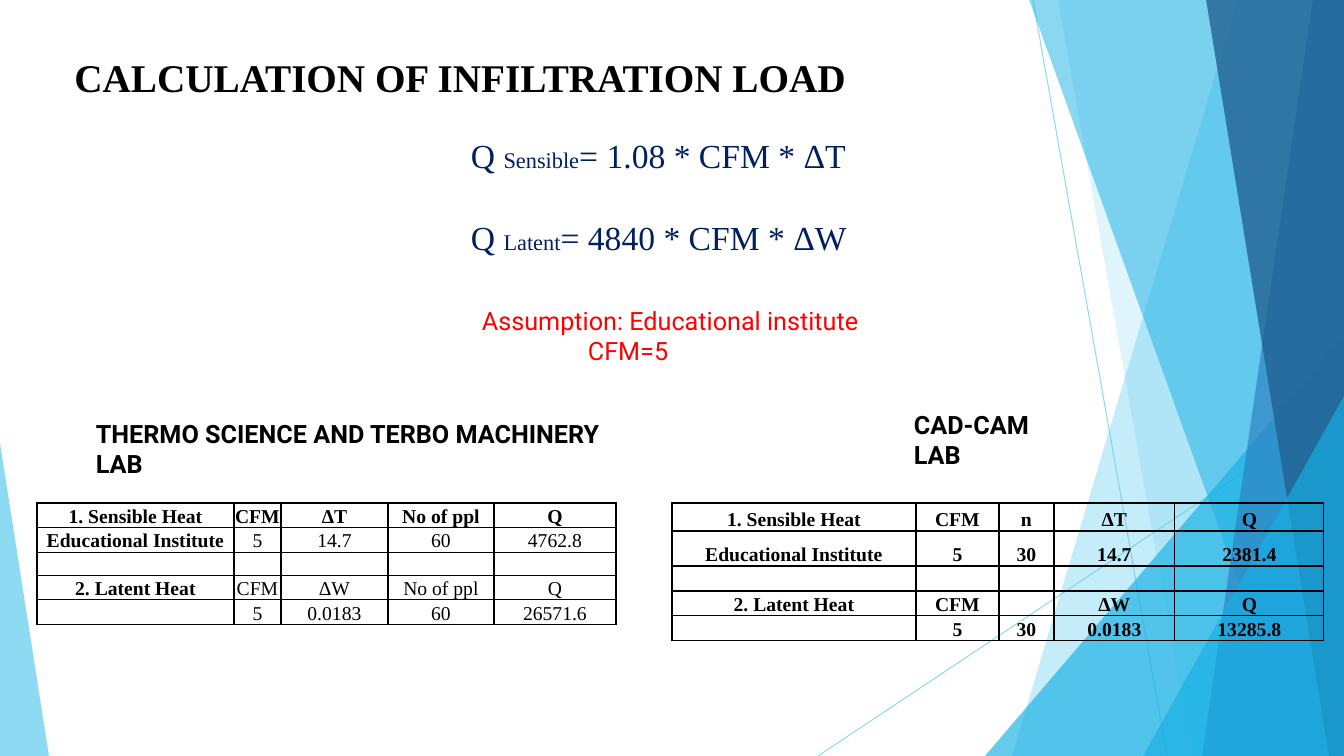
from lxml.etree import SubElement
from pptx import Presentation
from pptx.dml.color import RGBColor
from pptx.enum.shapes import MSO_CONNECTOR, MSO_SHAPE
from pptx.enum.text import MSO_ANCHOR, PP_ALIGN
from pptx.oxml.ns import qn
from pptx.util import Pt

PX = 914400 / 100.8
THEME = {
    "sky": "5FCBEF", "cyan": "17B0E4", "blue": "2E83C3", "navy": "226292", "border": "000000",
    "title": {"name": "Times New Roman", "size": 28, "bold": True, "color": "000000"},
    "formula": {"name": "Times New Roman", "size": 24, "bold": False, "color": "002060"},
    "subscript": {"name": "Times New Roman", "size": 16, "bold": False, "color": "002060"},
    "assumption": {"name": "Roboto", "size": 18, "bold": False, "color": "FF0000"},
    "lab": {"name": "Roboto", "size": 18, "bold": True, "color": "000000"},
    "label": {"name": "Times New Roman", "size": 14, "bold": True, "color": "000000"},
    "value": {"name": "Times New Roman", "size": 14, "bold": False, "color": "000000"},
    "empty_size": 12,
}


def paint(fill, color, percent):
    """Fill with a colour at the given opacity in percent."""
    fill.solid()
    fill.fore_color.rgb = RGBColor.from_string(THEME[color])
    for node in fill._xPr.iter(qn("a:srgbClr")):
        SubElement(node, qn("a:alpha"), val=str(percent * 1000))


def write(para, spans):
    """Add (text, style name) spans to a paragraph."""
    for text, style in spans:
        span = para.add_run()
        span.text = text
        look = THEME[style]
        for key, value in {"name": look["name"], "size": Pt(look["size"]), "bold": look["bold"]}.items():
            setattr(span.font, key, value)
        span.font.color.rgb = RGBColor.from_string(look["color"])


deck = Presentation()
deck.slide_width, deck.slide_height = round(1344 * PX), round(756 * PX)
page = deck.slides.add_slide(deck.slide_layouts[6])

# Background: thin lines, then translucent facets from back to front
for ends in [(1033, 0, 1167, 756), (1344, 406, 818, 756)]:
    ray = page.shapes.add_connector(MSO_CONNECTOR.STRAIGHT, *(round(v * PX) for v in ends))
    ray.line.width = Pt(0.75)
    paint(ray.line.fill, "sky", 70)
    SubElement(ray._element.spPr, qn("a:effectLst"))

# Bands: top-left x and bottom-left x; triangles: left, top, width, height and apex
FACETS = [
    ("band", (1238, 1012), "sky", 36),
    ("band", (1058, 1192), "sky", 20),
    ("triangle", (985, 336, 359, 420, 1), "cyan", 66),
    ("band", (1029, 1301), "cyan", 50),
    ("band", (1313, 1202), "blue", 70),
    ("band", (1206, 1329), "navy", 80),
    ("triangle", (1143, 396, 201, 360, 1), "cyan", 66),
    ("triangle", (0, 443, 49, 313, 0), "sky", 70),
]
for kind, place, color, percent in FACETS:
    if kind == "band":
        top_x, bottom_x = place
        outline = page.shapes.build_freeform(top_x, -1, scale=PX)
        outline.add_line_segments([(1344, -1), (1344, 756), (bottom_x, 756)], close=True)
        facet = outline.convert_to_shape()
    else:
        *frame, apex = place
        facet = page.shapes.add_shape(MSO_SHAPE.ISOSCELES_TRIANGLE, *(round(v * PX) for v in frame))
        facet.adjustments[0] = apex
    facet.shadow.inherit = False
    facet.line.fill.background()
    paint(facet.fill, color, percent)

# Text boxes: frame, then paragraphs of spans with their paragraph formats
TEXTS = [
    ((-109, 21, 1138, 118), [
        ([("CALCULATION OF INFILTRATION LOAD", "title")],
         {"alignment": PP_ALIGN.CENTER, "line_spacing": 0.9})]),
    ((461, 130, 397, 173), [
        ([("Q ", "formula"), ("Sensible", "subscript"), ("= 1.08 * CFM * ΔT", "formula")], {}),
        ([("Q ", "formula"), ("Latent", "subscript"), ("= 4840 * CFM * ΔW", "formula")],
         {"space_before": Pt(30)})]),
    ((472, 300, 421, 74), [
        ([("Assumption: Educational institute", "assumption")], {}),
        ([("CFM=5", "assumption")], {"indent": 106})]),
    ((86, 413, 529, 42), [([("THERMO SCIENCE AND TERBO MACHINERY LAB", "lab")], {})]),
    ((904, 404, 177, 40), [([("CAD-CAM LAB", "lab")], {})]),
]
for frame, paragraphs in TEXTS:
    box = page.shapes.add_textbox(*(round(v * PX) for v in frame))
    box.text_frame.word_wrap = True
    if paragraphs[0][0][0][1] == "title":
        box.text_frame.vertical_anchor = MSO_ANCHOR.MIDDLE
    for index, (spans, formats) in enumerate(paragraphs):
        para = box.text_frame.add_paragraph() if index else box.text_frame.paragraphs[0]
        for key, value in formats.items():
            if key == "indent":
                para._p.get_or_add_pPr().set("marL", str(round(value * PX)))
            else:
                setattr(para, key, value)
        write(para, spans)

# Tables: left edge, column widths, row heights, all bold or only headings, rows
TABLES = [
    (37, [197, 47, 107, 106, 122], [23, 22, 23, 23, 22], False, [
        ["1. Sensible Heat", "CFM", "ΔT", "No of ppl", "Q"],
        ["Educational Institute", "5", "14.7", "60", "4762.8"],
        [""] * 5,
        ["2. Latent Heat", "CFM", "ΔW", "No of ppl", "Q"],
        ["", "5", "0.0183", "60", "26571.6"]]),
    (672, [244, 83, 55, 121, 149], [28, 35, 25, 24, 25], True, [
        ["1. Sensible Heat", "CFM", "n", "ΔT", "Q"],
        ["Educational Institute", "5", "30", "14.7", "2381.4"],
        [""] * 5,
        ["2. Latent Heat", "CFM", "", "ΔW", "Q"],
        ["", "5", "30", "0.0183", "13285.8"]]),
]
CELL = {"margin_left": round(PX), "margin_right": round(PX), "margin_top": round(PX),
        "margin_bottom": 0, "vertical_anchor": MSO_ANCHOR.BOTTOM}
for left, widths, heights, all_bold, rows in TABLES:
    frame = (left, 503, sum(widths), sum(heights))
    table = page.shapes.add_table(len(rows), len(widths), *(round(v * PX) for v in frame)).table
    table.first_row = table.horz_banding = False
    for column, width in zip(table.columns, widths):
        column.width = round(width * PX)
    for row, height in zip(table.rows, heights):
        row.height = round(height * PX)
    for r, texts in enumerate(rows):
        for c, text in enumerate(texts):
            cell = table.cell(r, c)
            for key, value in CELL.items():
                setattr(cell, key, value)
            para = cell.text_frame.paragraphs[0]
            para.alignment = PP_ALIGN.CENTER
            if text:
                write(para, [(text, "label" if all_bold or r == 0 or c == 0 else "value")])
            else:
                SubElement(para._p, qn("a:endParaRPr"), sz=str(THEME["empty_size"] * 100))
            properties = cell._tc.get_or_add_tcPr()
            for side in ("lnL", "lnR", "lnT", "lnB"):
                edge = SubElement(properties, qn(f"a:{side}"), w=str(Pt(1)))
                SubElement(SubElement(edge, qn("a:solidFill")), qn("a:srgbClr"), val=THEME["border"])
            cell.fill.background()

deck.save("out.pptx")
